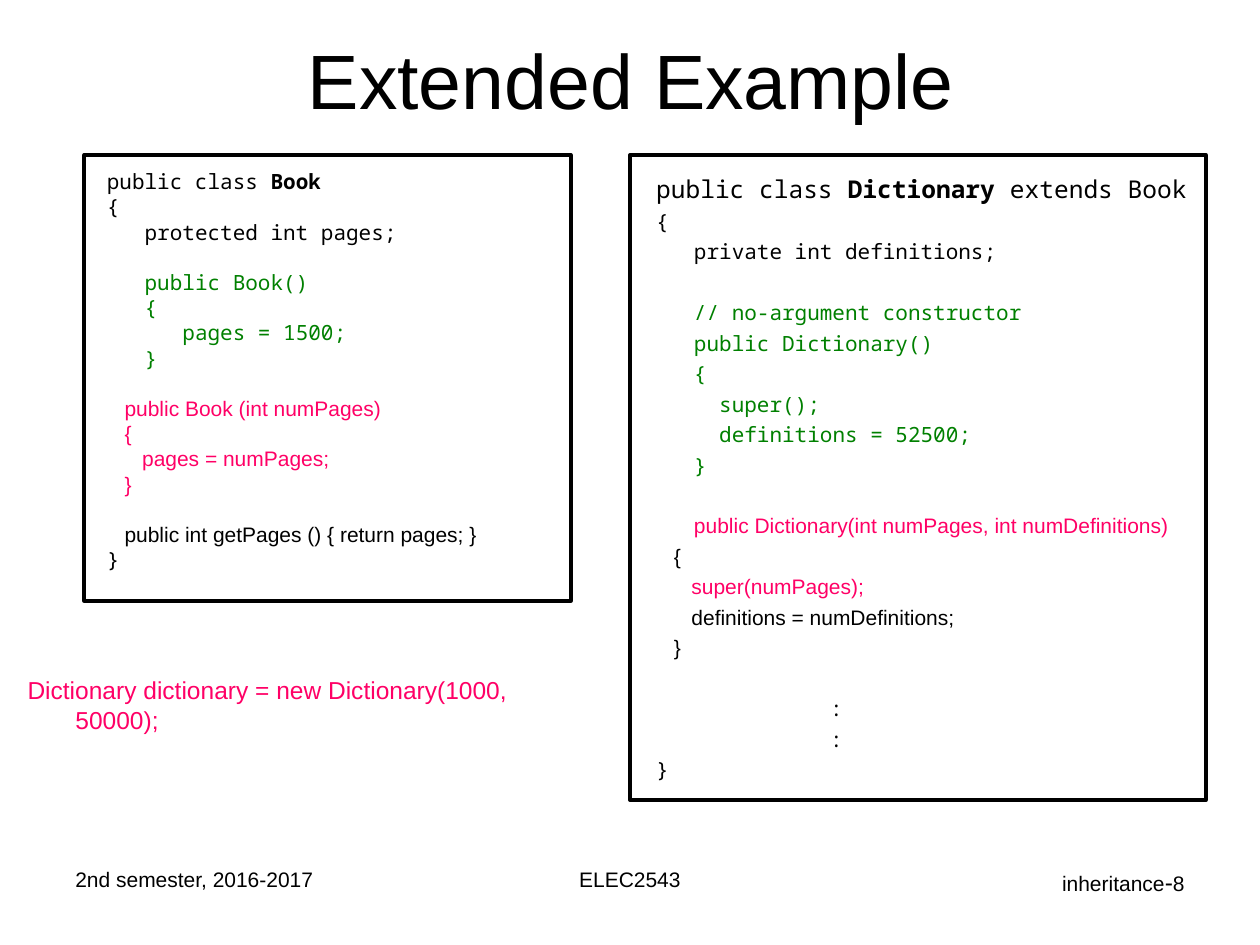
from pptx import Presentation
from pptx.dml.color import RGBColor
from pptx.enum.shapes import MSO_SHAPE
from pptx.enum.text import MSO_ANCHOR, PP_ALIGN
from pptx.util import Inches, Pt

LEFT, CENTER, RIGHT = PP_ALIGN.LEFT, PP_ALIGN.CENTER, PP_ALIGN.RIGHT
MIDDLE = MSO_ANCHOR.MIDDLE
RECTANGLE = MSO_SHAPE.RECTANGLE
TITLE_ONLY = 5

SANS, MONO = "Arial", "Noto Sans Mono"
BLACK, GREEN, PINK = "000000", "008000", "FF0066"
LINE_FACTOR = 1.2
MONO_STEP, SANS_STEP = 0.3, 0.14

BOOK_CODE = [
    dict(runs=[("public class ", {}), ("Book", dict(bold=True))]),
    dict(text="{"),
    dict(text="protected int pages;", level=1),
    dict(text="public Book()", level=1, color=GREEN, gap=True),
    dict(text="{", level=1, color=GREEN),
    dict(text="pages = 1500;", level=2, color=GREEN),
    dict(text="}", level=1, color=GREEN),
    dict(text="public Book (int numPages)", level=1, font=SANS, color=PINK, gap=True),
    dict(text="{", level=1, font=SANS, color=PINK),
    dict(text="pages = numPages;", level=2, font=SANS, color=PINK),
    dict(text="}", level=1, font=SANS, color=PINK),
    dict(text="public int getPages () { return pages; }", level=1, font=SANS, gap=True),
    dict(text="}"),
]

DICTIONARY_CODE = [
    dict(runs=[("public class ", {}), ("Dictionary", dict(bold=True)),
               (" extends Book", {})], size=14),
    dict(text="{"),
    dict(text="private int definitions;", level=1),
    dict(text="// no-argument constructor", level=1, color=GREEN, gap=True),
    dict(text="public Dictionary()", level=1, color=GREEN),
    dict(text="{", level=1, color=GREEN),
    dict(text="super();", indent=0.5, color=GREEN),
    dict(text="definitions = 52500;", indent=0.5, color=GREEN),
    dict(text="}", level=1, color=GREEN),
    dict(text="public Dictionary(int numPages, int numDefinitions)",
         indent=MONO_STEP, font=SANS, color=PINK, gap=True),
    dict(text="{", level=1, font=SANS),
    dict(text="super(numPages);", level=2, font=SANS, color=PINK),
    dict(text="definitions = numDefinitions;", level=2, font=SANS),
    dict(text="}", level=1, font=SANS),
    dict(text=":", indent=1.38, gap=True),
    dict(text=":", indent=1.38),
    dict(text="}"),
]


def rgb(hex_color):
    return RGBColor.from_string(hex_color)


def write(paragraph, text="", runs=None, size=12, font=SANS, color=BLACK, align=LEFT,
          indent=0, hanging=0, before=0, line=None):
    paragraph.alignment = align
    paragraph.space_before = Pt(before)
    if line:
        paragraph.line_spacing = Pt(line)
    properties = paragraph._p.get_or_add_pPr()
    properties.set("marL", str(Inches(indent)))
    properties.set("indent", str(Inches(-hanging)))
    for words, changes in runs or [(text, {})]:
        run = paragraph.add_run()
        run.text = words
        run.font.name = font
        run.font.size = Pt(changes.get("size", size))
        run.font.bold = changes.get("bold", False)
        run.font.color.rgb = rgb(color)


def add_frame(slide, box):
    frame = slide.shapes.add_textbox(*map(Inches, box)).text_frame
    frame.word_wrap = True
    return frame


def add_title(slide, box, text):
    title = slide.shapes.title
    title.left, title.top, title.width, title.height = map(Inches, box)
    title.text_frame.vertical_anchor = MIDDLE
    write(title.text_frame.paragraphs[0], text, size=44, align=CENTER)


def add_code_panel(slide, box, code_offset, code, spacing):
    left, top, width, height = box
    border = slide.shapes.add_shape(RECTANGLE, *map(Inches, box))
    border.shadow.inherit = False
    border.fill.background()
    border.line.color.rgb = rgb(BLACK)
    border.line.width = Pt(2.25)

    dx, dy = code_offset
    frame = add_frame(slide, (left + dx, top + dy, width, height - dy))
    for number, entry in enumerate(code):
        style = dict(entry)
        level, gap = style.pop("level", 0), style.pop("gap", False)
        font = style.setdefault("font", MONO)
        line = style.get("size", 12) * LINE_FACTOR
        style.setdefault("indent", level * (MONO_STEP if font == MONO else SANS_STEP))
        before = spacing * 2 + line if gap else spacing
        paragraph = frame.add_paragraph() if number else frame.paragraphs[0]
        write(paragraph, before=before, line=line, **style)


def add_call_example(slide, box, text):
    frame = add_frame(slide, box)
    frame.margin_top, frame.margin_right = Inches(0.27), Inches(0.2)
    write(frame.paragraphs[0], text, size=14, color=PINK,
          indent=0.38, hanging=0.38, line=14 * LINE_FACTOR)


def add_footer(slide, box):
    left, top, width, height = box
    side, middle = 2.33, 3.17
    parts = [
        (left, side, LEFT, [("2nd semester, 2016-2017", {})]),
        (left + (width - middle) / 2, middle, CENTER, [("ELEC2543", {})]),
        (left + width - side, side, RIGHT,
         [("inheritance", {}), ("-", dict(size=14)), ("8", {})]),
    ]
    for part_left, part_width, align, runs in parts:
        frame = add_frame(slide, (part_left, top, part_width, height))
        write(frame.paragraphs[0], runs=runs, align=align)


def main():
    deck = Presentation()
    deck.slide_width, deck.slide_height = Inches(10), Inches(7.5)
    slide = deck.slides.add_slide(deck.slide_layouts[TITLE_ONLY])
    add_title(slide, (0.51, 0, 9, 1.25), "Extended Example")
    add_call_example(slide, (0.12, 5.09, 4.72, 1.02),
                     "Dictionary dictionary = new Dictionary(1000, 50000);")
    add_code_panel(slide, (0.67, 1.23, 3.86, 3.54), (0.08, 0.06), BOOK_CODE, spacing=0)
    add_code_panel(slide, (5, 1.23, 4.57, 5.12), (0.11, 0.1), DICTIONARY_CODE, spacing=3)
    add_footer(slide, (0.5, 6.83, 9, 0.52))
    deck.save("out.pptx")


if __name__ == "__main__":
    main()
